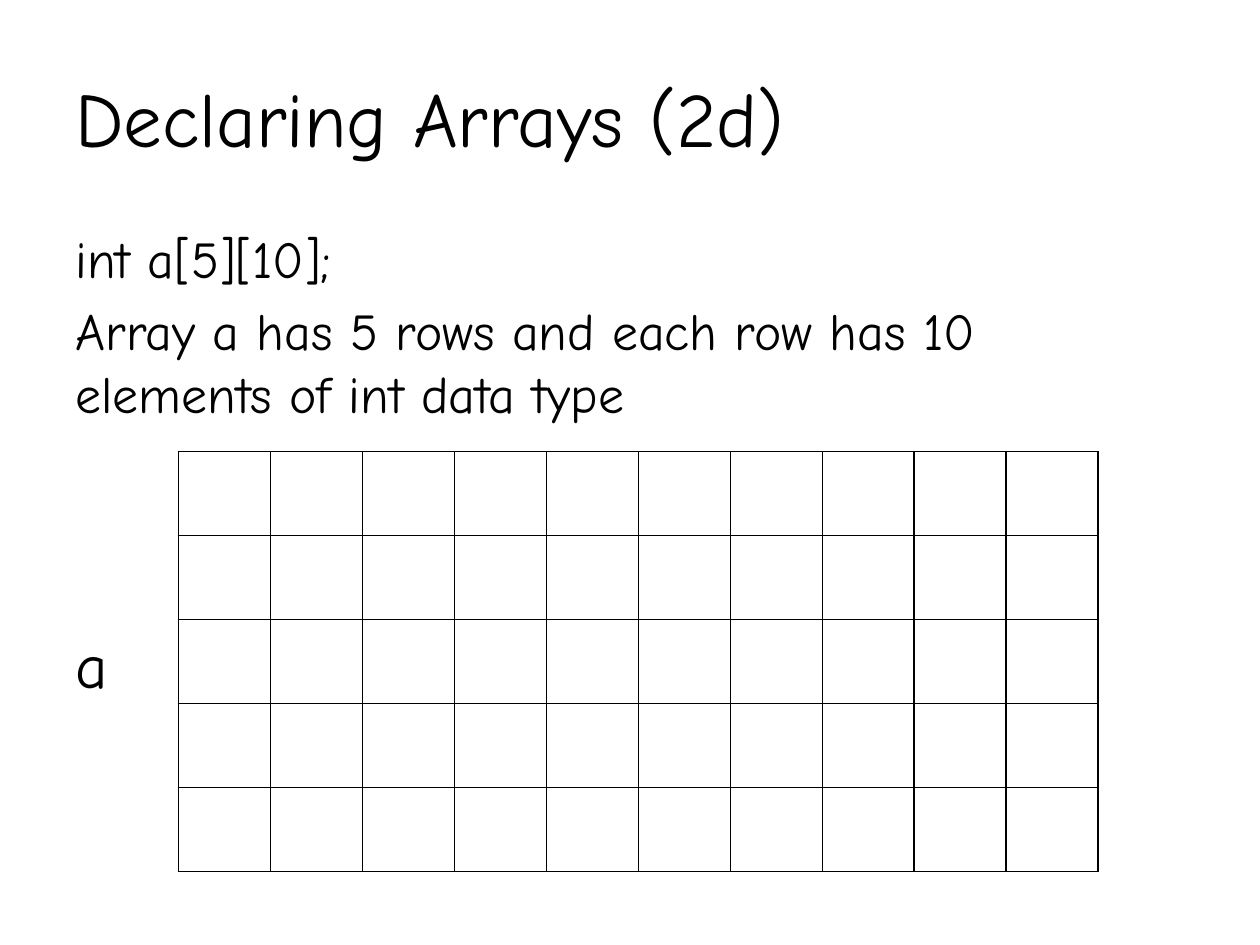
from dataclasses import dataclass

from lxml.etree import SubElement
from pptx import Presentation
from pptx.dml.color import RGBColor
from pptx.enum.text import MSO_ANCHOR, MSO_AUTO_SIZE
from pptx.oxml.ns import qn
from pptx.slide import Slide
from pptx.util import Pt

COLOURS = {"ink": "000000", "paper": "FFFFFF"}
ROWS, COLUMNS = 5, 10
CELL_WIDTH, CELL_HEIGHT = 52.56, 48
GRID_LEFT, GRID_TOP = 102, 258


@dataclass
class SlideBuilder:
    """Holds the style and the current slide, and adds elements in points."""

    slide: Slide
    font: str = "Comic Neue"
    border: float = 1

    def text(self, left, top, width, height, lines, size,
             anchor=MSO_ANCHOR.TOP, gap=0, auto_size=MSO_AUTO_SIZE.NONE):
        shape = self.slide.shapes.add_textbox(Pt(left), Pt(top), Pt(width), Pt(height))
        frame = shape.text_frame
        frame.word_wrap = True
        frame.auto_size = auto_size
        frame.vertical_anchor = anchor
        frame.text = "\n".join(lines)
        for index, paragraph in enumerate(frame.paragraphs):
            if index:
                paragraph.space_before = Pt(gap)
            paragraph.font.name = self.font
            paragraph.font.size = Pt(size)
            paragraph.font.color.rgb = RGBColor.from_string(COLOURS["ink"])

    def array_row(self, left, top, columns, cell_width, cell_height):
        table = self.slide.shapes.add_table(
            1, columns, Pt(left), Pt(top), Pt(columns * cell_width), Pt(cell_height)).table
        table.first_row = table.horz_banding = False
        for column in table.columns:
            column.width = Pt(cell_width)
        for cell in table.iter_cells():
            self.outline(cell)
            cell.fill.background()

    def outline(self, cell):
        properties = cell._tc.get_or_add_tcPr()
        for side in ("a:lnL", "a:lnR", "a:lnT", "a:lnB"):
            line = SubElement(properties, qn(side), w=str(Pt(self.border)))
            fill = SubElement(line, qn("a:solidFill"))
            SubElement(fill, qn("a:srgbClr"), val=COLOURS["ink"])


def main():
    presentation = Presentation()
    presentation.slide_width, presentation.slide_height = Pt(720), Pt(540)
    slide = presentation.slides.add_slide(presentation.slide_layouts[6])
    slide.background.fill.solid()
    slide.background.fill.fore_color.rgb = RGBColor.from_string(COLOURS["paper"])

    builder = SlideBuilder(slide)
    builder.text(36, 21.6, 648, 90, ["Declaring Arrays (2d)"], 44, anchor=MSO_ANCHOR.MIDDLE)
    builder.text(36, 126, 648, 102, [
        "int a[5][10];",
        "Array a has 5 rows and each row has 10 elements of int data type",
    ], 29.6, gap=5.9)
    builder.text(36, 354, 47.5, 51, ["a"], 36, auto_size=MSO_AUTO_SIZE.SHAPE_TO_FIT_TEXT)
    for row in range(ROWS):
        builder.array_row(GRID_LEFT, GRID_TOP + row * CELL_HEIGHT,
                          COLUMNS, CELL_WIDTH, CELL_HEIGHT)
    presentation.save("out.pptx")


if __name__ == "__main__":
    main()
